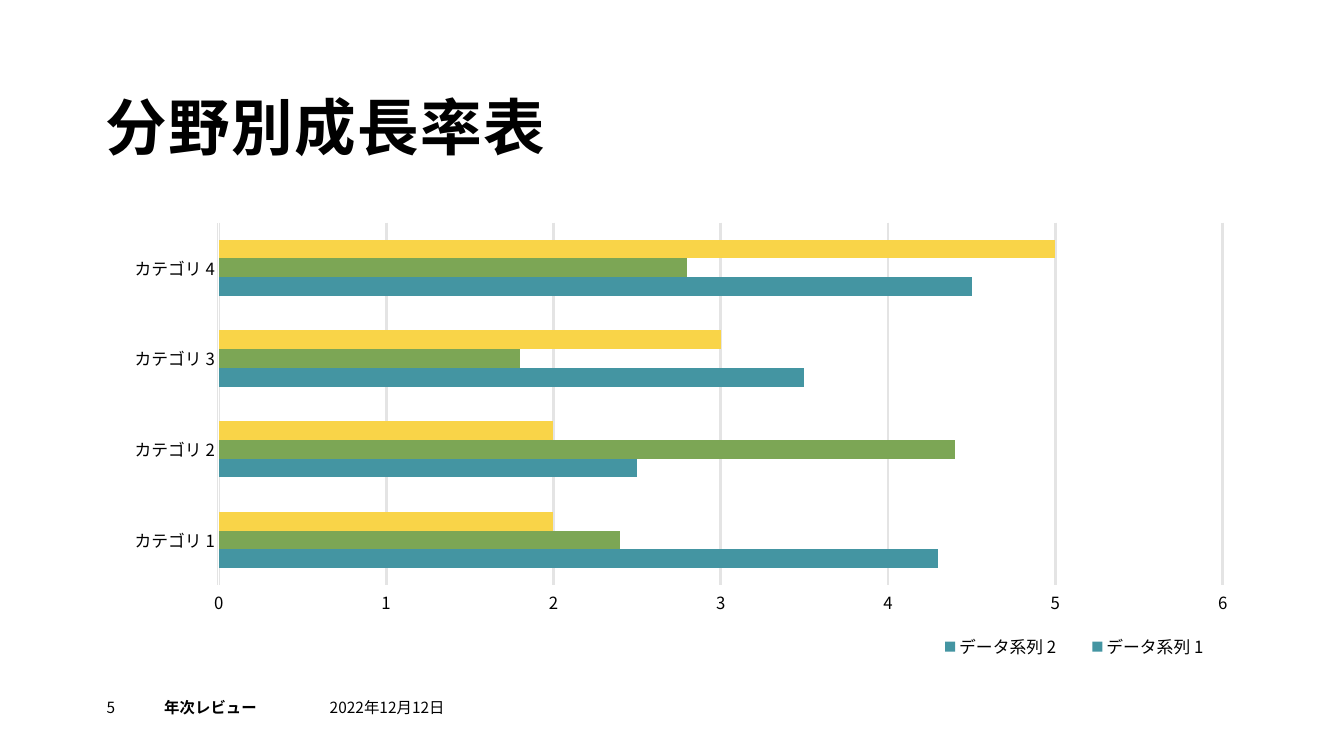
import dataclasses

import lxml.etree
import pptx
import pptx.chart.data
import pptx.dml.color
import pptx.enum.chart
import pptx.enum.text
import pptx.oxml
import pptx.oxml.ns
import pptx.util

Cm = pptx.util.Cm
Pt = pptx.util.Pt
qn = pptx.oxml.ns.qn


@dataclasses.dataclass(frozen=True)
class Theme:
    """Colours, font and type sizes of the slide."""
    font: str = "Noto Sans CJK JP"
    ink: str = "000000"
    paper: str = "FFFFFF"
    grid: str = "E4E4E4"
    teal: str = "4495A2"
    green: str = "7CA655"
    yellow: str = "F9D448"
    title_size: int = 44
    chart_size: int = 12
    footer_size: int = 11


THEME = Theme()
CATEGORIES = [f"カテゴリ {number}" for number in range(1, 5)]
GROWTH = [
    ("データ系列 1", (4.3, 2.5, 3.5, 4.5), THEME.teal, None),
    ("データ系列 2", (2.4, 4.4, 1.8, 2.8), THEME.teal, THEME.green),
    ("データ系列 3", (2, 2, 3, 5), THEME.yellow, THEME.yellow),
]
FOOTER = [("5", 1.45, False), ("年次レビュー", 4.17, True), ("2022年12月12日", 4.7, False)]


def rgb(value):
    """Return the colour object for a hex value."""
    return pptx.dml.color.RGBColor.from_string(value)


def paint(fill, value):
    """Make a fill solid in the given colour."""
    fill.solid()
    fill.fore_color.rgb = rgb(value)


def style_font(font, size, bold=False):
    """Apply the theme's font and ink, for Latin and East Asian text."""
    font.name = THEME.font
    font.size = Pt(size)
    font.bold = bold
    font.color.rgb = rgb(THEME.ink)
    latin = font._element.find(qn("a:latin")) if hasattr(font, "_element") else font._rPr.find(qn("a:latin"))
    east_asian = pptx.oxml.parse_xml(lxml.etree.tostring(latin))
    east_asian.tag = qn("a:ea")
    latin.addnext(east_asian)


def write_text(frame, text, size, bold=False):
    """Write one run into a frame without margins and return it."""
    frame.word_wrap = True
    frame.margin_left = frame.margin_top = frame.margin_right = frame.margin_bottom = 0
    run = frame.paragraphs[0].add_run()
    run.text = text
    style_font(run.font, size, bold)
    return run


def set_layout(parent, before, x, y, width, height, inner=False):
    """Place a chart part by fractions of the chart's box."""
    for old in parent.findall(qn("c:layout")):
        parent.remove(old)
    layout = lxml.etree.Element(qn("c:layout"))
    manual = lxml.etree.SubElement(layout, qn("c:manualLayout"))
    settings = [("layoutTarget", "inner")] if inner else []
    settings += [("xMode", "edge"), ("yMode", "edge"), ("x", x), ("y", y), ("w", width), ("h", height)]
    for tag, value in settings:
        lxml.etree.SubElement(manual, qn(f"c:{tag}")).set("val", str(value))
    before.addprevious(layout)


def build_title(slide, left, top, width, height):
    """Place the slide title in its box."""
    title = slide.shapes.title
    title.left, title.top, title.width, title.height = left, top, width, height
    frame = title.text_frame
    frame.vertical_anchor = pptx.enum.text.MSO_ANCHOR.BOTTOM
    frame.auto_size = pptx.enum.text.MSO_AUTO_SIZE.NONE
    heading = write_text(frame, "分野別成長率表", THEME.title_size, True)
    heading.font._element.set("spc", "100")
    frame.paragraphs[0].alignment = pptx.enum.text.PP_ALIGN.LEFT
    frame.paragraphs[0].line_spacing = 0.9


def style_axes(chart):
    """Format the category axis, value axis and gridlines."""
    for axis in (chart.category_axis, chart.value_axis):
        axis.major_tick_mark = axis.minor_tick_mark = pptx.enum.chart.XL_TICK_MARK.NONE
        style_font(axis.tick_labels.font, THEME.chart_size)
    baseline = chart.category_axis.format.line
    paint(baseline.fill, THEME.paper)
    baseline.width = Pt(0.75)
    scale = chart.value_axis
    scale.minimum_scale, scale.maximum_scale, scale.major_unit = 0, 6, 1
    scale.format.line.fill.background()
    scale.has_major_gridlines = True
    gridlines = scale.major_gridlines.format.line
    paint(gridlines.fill, THEME.grid)
    gridlines.width = Pt(2)


def style_legend(chart):
    """Place the legend at the lower right, without the first series."""
    chart.has_legend = True
    legend = chart.legend
    legend.position = pptx.enum.chart.XL_LEGEND_POSITION.BOTTOM
    legend.include_in_layout = False
    style_font(legend.font, THEME.chart_size)
    overlay = legend._element.find(qn("c:overlay"))
    entry = lxml.etree.Element(qn("c:legendEntry"))
    for tag, value in (("idx", "0"), ("delete", "1")):
        lxml.etree.SubElement(entry, qn(f"c:{tag}")).set("val", value)
    overlay.addprevious(entry)
    set_layout(legend._element, overlay, 0.71, 0.92, 0.28, 0.07)


def build_growth_chart(slide, left, top, width, height):
    """Draw the clustered growth bars in the given box."""
    data = pptx.chart.data.CategoryChartData()
    data.categories = CATEGORIES
    for name, values, _, _ in GROWTH:
        data.add_series(name, values)
    kind = pptx.enum.chart.XL_CHART_TYPE.BAR_CLUSTERED
    chart = slide.shapes.add_chart(kind, left, top, width, height, data).chart
    chart.has_title = False
    style_font(chart.font, THEME.chart_size)
    bars = chart.plots[0]
    bars.gap_width = 182
    bars.vary_by_categories = False
    for series, (_, values, color, point_color) in zip(bars.series, GROWTH):
        paint(series.format.fill, color)
        if point_color:
            for index in range(len(values)):
                paint(series.points[index].format.fill, point_color)
    style_axes(chart)
    style_legend(chart)
    plot_area = chart._chartSpace.chart.plotArea
    set_layout(plot_area, plot_area.find(qn("c:barChart")), 0.1, 0.02, 0.88, 0.8, True)


def build_footer(slide, left, top, height):
    """Set page number, review name and date side by side."""
    for text, width, bold in FOOTER:
        box = slide.shapes.add_textbox(left, top, Cm(width), height)
        write_text(box.text_frame, text, THEME.footer_size, bold)
        left += Cm(width)


def main():
    """Build and save the growth slide."""
    deck = pptx.Presentation()
    deck.slide_width, deck.slide_height = Cm(33.87), Cm(19.05)
    slide = deck.slides.add_slide(deck.slide_layouts[5])
    paint(slide.background.fill, THEME.paper)
    build_title(slide, Cm(2.67), Cm(2.44), Cm(22.45), Cm(1.7))
    build_growth_chart(slide, Cm(2.64), Cm(5.38), Cm(28.75), Cm(11.43))
    build_footer(slide, Cm(2.69), Cm(17.58), Cm(0.69))
    deck.save("out.pptx")


if __name__ == "__main__":
    main()
